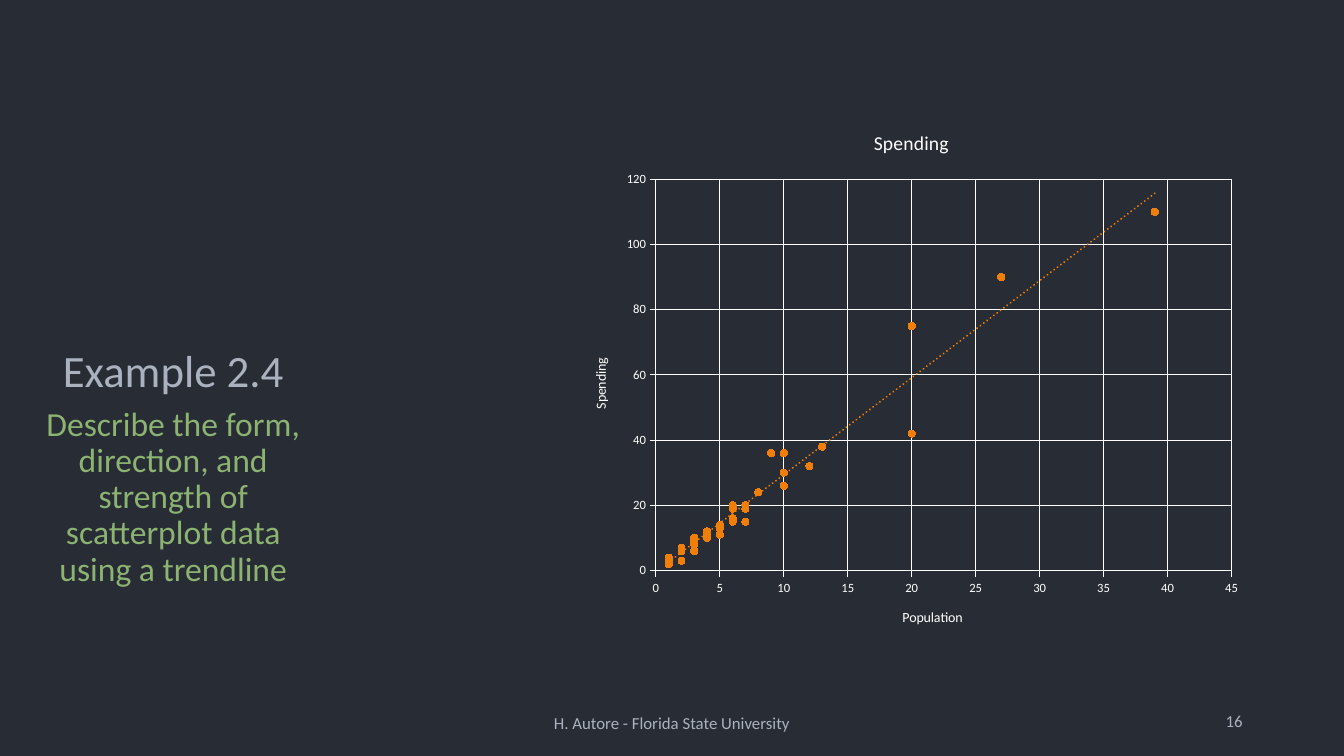
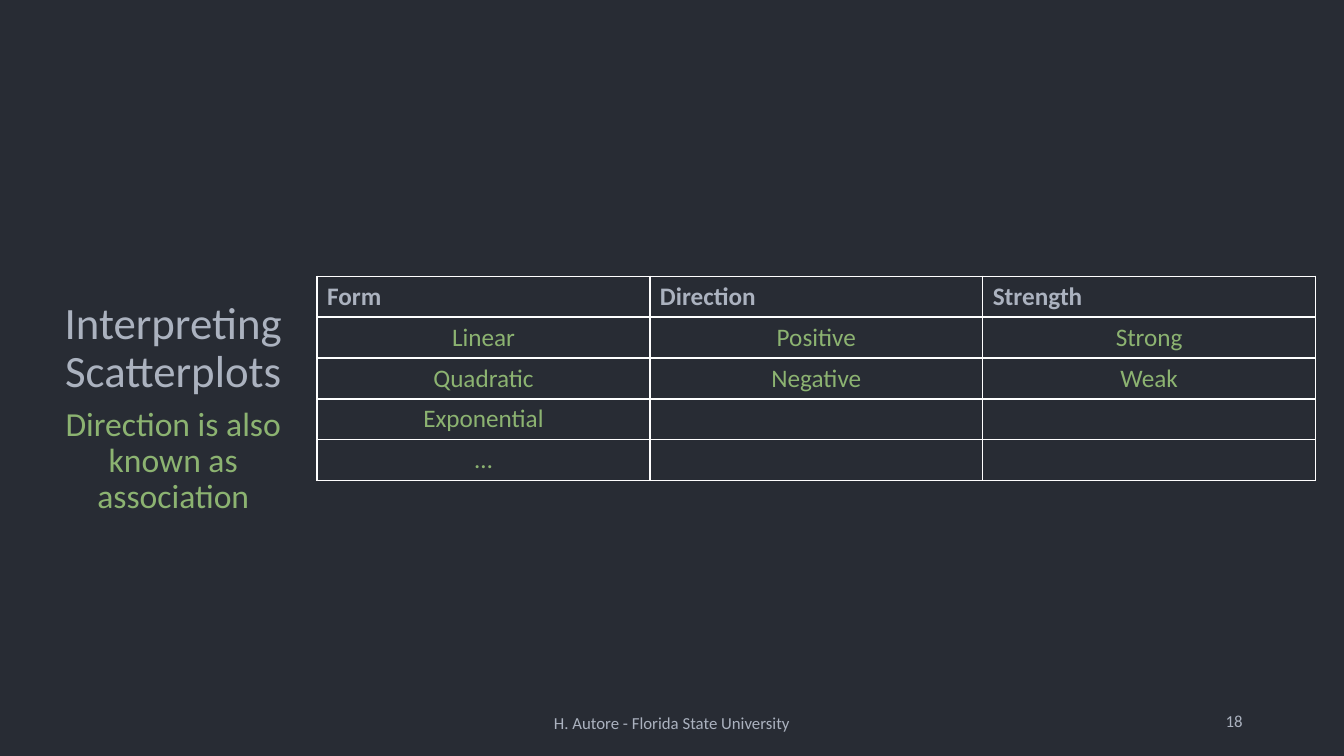
from lxml.etree import SubElement
from pptx import Presentation
from pptx.chart.data import XyChartData
from pptx.dml.color import RGBColor
from pptx.enum.chart import XL_CHART_TYPE, XL_MARKER_STYLE, XL_TICK_MARK
from pptx.enum.text import MSO_ANCHOR, PP_ALIGN
from pptx.oxml import parse_xml
from pptx.oxml.ns import nsdecls, qn
from pptx.util import Pt

PX = 9525
FONT = "Calibri"
COLORS = {
    "background": "282C34",
    "heading": "ABB2BF",
    "body": "8CB371",
    "line": "FFFFFF",
    "marker": "F07F09",
}
TITLE_BOX = (27, 22, 276, 361)
BODY_BOX = (27, 383, 276, 284)
NUMBER_BOX = (1061, 667, 132, 38)
FOOTER_BOX = (256, 669, 768, 38)
CHART_BOX = (544, 104, 648, 512)
TABLE_BOX = (302, 263, 951, 195)
FOOTER = "H. Autore - Florida State University"

POPULATION = [
    5, 1, 7, 3, 39, 5, 4, 1, 20, 10, 1, 2, 13, 7, 3, 3, 4,
    5, 1, 6, 7, 10, 6, 3, 6, 1, 2, 3, 1, 9, 2, 20, 10, 1,
    12, 4, 4, 13, 1, 5, 1, 6, 27, 3, 1, 8, 7, 2, 6, 1,
]
SPENDING = [
    13, 4, 15, 9, 110, 14, 12, 4, 42, 26, 4, 3, 38, 19, 10, 9, 12,
    13, 3, 20, 20, 36, 16, 8, 16, 3, 6, 6, 4, 36, 7, 75, 30, 3,
    32, 10, 11, 38, 3, 11, 2, 15, 90, 9, 2, 24, 20, 6, 19, 3,
]
INTERPRETATIONS = [
    ("Form", "Direction", "Strength"),
    ("Linear", "Positive", "Strong"),
    ("Quadratic", "Negative", "Weak"),
    ("Exponential", "", ""),
    ("…", "", ""),
]


def rgb(name):
    """Return a palette colour."""
    return RGBColor.from_string(COLORS[name])


def emu(box):
    """Turn a box in px into EMU."""
    return [length * PX for length in box]


def style_font(font, size, color, bold=False):
    """Set the face, size, colour and weight of a font."""
    font.name, font.size, font.bold = FONT, Pt(size), bold
    font.color.rgb = rgb(color)


def style_line(line, color, width):
    """Set the colour and width of a line."""
    line.color.rgb = rgb(color)
    line.width = Pt(width)


def add_run(paragraph, text, size, color, bold=False):
    """Add one styled run to a paragraph."""
    run = paragraph.add_run()
    run.text = text
    style_font(run.font, size, color, bold)


def add_text(slide, box, text, size, color, align=PP_ALIGN.CENTER,
             anchor=MSO_ANCHOR.MIDDLE, spacing=None, before=0):
    """Place a wrapped text box holding one paragraph."""
    frame = slide.shapes.add_textbox(*emu(box)).text_frame
    frame.word_wrap = True
    frame.vertical_anchor = anchor
    paragraph = frame.paragraphs[0]
    paragraph.alignment = align
    paragraph.line_spacing = spacing
    paragraph.space_before = Pt(before)
    add_run(paragraph, text, size, color)


def add_captioned_slide(deck, title, body, number):
    """Add a slide with the shared background, side caption and footer."""
    slide = deck.slides.add_slide(deck.slide_layouts[6])
    slide.background.fill.solid()
    slide.background.fill.fore_color.rgb = rgb("background")
    add_text(slide, TITLE_BOX, title, 32, "heading",
             anchor=MSO_ANCHOR.BOTTOM, spacing=0.9)
    add_text(slide, BODY_BOX, body, 24, "body",
             anchor=MSO_ANCHOR.TOP, spacing=0.9, before=10)
    add_text(slide, NUMBER_BOX, number, 12, "heading", PP_ALIGN.RIGHT)
    add_text(slide, FOOTER_BOX, FOOTER, 12, "heading")
    return slide


def title_part(part, text, size):
    """Give a chart or an axis its title."""
    frame = part.text_frame
    add_run(frame.paragraphs[0], text, size, "line")


def style_axis(axis, title, maximum, step):
    """Scale, rule and label one axis."""
    axis.minimum_scale, axis.maximum_scale = 0, maximum
    axis.major_unit = step
    axis.major_tick_mark = XL_TICK_MARK.OUTSIDE
    axis.minor_tick_mark = XL_TICK_MARK.NONE
    axis.has_major_gridlines = True
    style_line(axis.major_gridlines.format.line, "line", 0.75)
    style_line(axis.format.line, "line", 0.75)
    style_font(axis.tick_labels.font, 9, "line")
    title_part(axis.axis_title, title, 10)


def add_trendline(series):
    """Add a linear trend line to a scatter series."""
    trendline = parse_xml(
        f'<c:trendline {nsdecls("c", "a")}><c:spPr>'
        f'<a:ln w="{Pt(1.5)}" cap="rnd"><a:solidFill>'
        f'<a:srgbClr val="{COLORS["marker"]}"/></a:solidFill>'
        '<a:prstDash val="sysDot"/></a:ln></c:spPr>'
        '<c:trendlineType val="linear"/><c:dispRSqr val="0"/>'
        '<c:dispEq val="0"/></c:trendline>')
    series._element.find(qn("c:xVal")).addprevious(trendline)


def add_spending_chart(slide, box):
    """Place the scatter chart of spending against population."""
    data = XyChartData()
    points = data.add_series("Spending")
    for population, spending in zip(POPULATION, SPENDING):
        points.add_data_point(population, spending)
    chart = slide.shapes.add_chart(
        XL_CHART_TYPE.XY_SCATTER, *emu(box), data).chart
    style_font(chart.font, 10, "line")
    chart.has_legend = False
    title_part(chart.chart_title, "Spending", 14)
    chart.chart_title.include_in_layout = False
    style_axis(chart.category_axis, "Population", 45, 5)
    style_axis(chart.value_axis, "Spending", 120, 20)
    plot = chart.plots[0]
    plot.vary_by_categories = False
    series = plot.series[0]
    series.format.line.fill.background()
    marker = series.marker
    marker.style, marker.size = XL_MARKER_STYLE.CIRCLE, 5
    marker.format.fill.solid()
    marker.format.fill.fore_color.rgb = rgb("marker")
    style_line(marker.format.line, "marker", 0.75)
    add_trendline(series)


def add_borders(cell):
    """Rule all four sides of a cell."""
    properties = cell._tc.get_or_add_tcPr()
    for side in ("a:lnL", "a:lnR", "a:lnT", "a:lnB"):
        border = SubElement(properties, qn(side), w=str(Pt(1)))
        fill = SubElement(border, qn("a:solidFill"))
        SubElement(fill, qn("a:srgbClr"), val=COLORS["line"])


def add_interpretation_table(slide, box):
    """Place the table of forms, directions and strengths."""
    table = slide.shapes.add_table(
        len(INTERPRETATIONS), len(INTERPRETATIONS[0]), *emu(box)).table
    table.horz_banding = False
    for row, texts in enumerate(INTERPRETATIONS):
        is_header = row == 0
        for column, text in enumerate(texts):
            cell = table.cell(row, column)
            add_borders(cell)
            cell.fill.background()
            if not text:
                continue
            paragraph = cell.text_frame.paragraphs[0]
            paragraph.alignment = PP_ALIGN.LEFT if is_header else PP_ALIGN.CENTER
            add_run(paragraph, text, 18,
                    "heading" if is_header else "body", is_header)


def main():
    """Build and save the deck."""
    deck = Presentation()
    deck.slide_width, deck.slide_height = emu((1280, 720))
    example = add_captioned_slide(
        deck, "Example 2.4",
        "Describe the form, direction, and strength of scatterplot data "
        "using a trendline", "16")
    add_spending_chart(example, CHART_BOX)
    interpreting = add_captioned_slide(
        deck, "Interpreting Scatterplots",
        "Direction is also known as association", "18")
    add_interpretation_table(interpreting, TABLE_BOX)
    deck.save("out.pptx")


if __name__ == "__main__":
    main()
